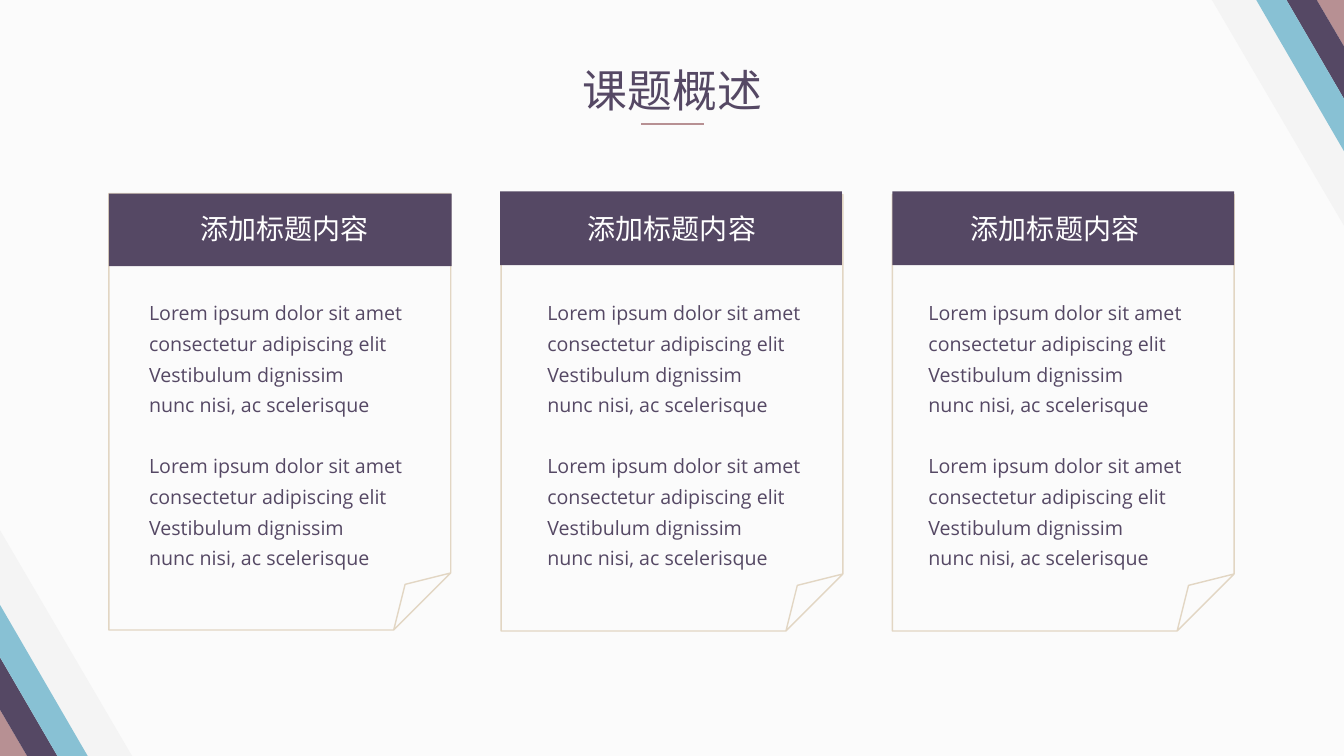
from lxml import etree
from pptx import Presentation
from pptx import util as u
from pptx.dml.color import RGBColor
from pptx.enum import shapes, text
from pptx.oxml import ns

WIDTH, HEIGHT = 13.33, 7.5
COLORS = {
    "paper": "FBFBFB",
    "mist": "F4F4F4",
    "rose": "B79093",
    "plum": "554864",
    "sky": "88C1D4",
    "sand": "E2D6C3",
    "white": "FFFFFF",
}
CHINESE = "Noto Sans CJK SC"
LATIN = "Open Sans"
HEADING = "添加标题内容"
BODY = [
    "Lorem ipsum dolor sit amet consectetur adipiscing elit Vestibulum dignissim",
    "nunc nisi, ac scelerisque",
] * 2
BANDS = [
    ("mist", (0, 0), (1.31, 2.24)),
    ("rose", (0, 0), (0.27, 0.46)),
    ("plum", (0.27, 0.46), (0.57, 0.98)),
    ("sky", (0.57, 0.98), (0.87, 1.5)),
]
CARDS = [
    ((1.08, 1.92, 3.39, 4.33), (1.08, 1.92, 3.4, 0.72),
     (1.47, 2.05, 2.7, 0.44), (1.38, 2.87, 2.85, 3.28)),
    ((4.97, 1.93, 3.39, 4.33), (4.96, 1.9, 3.39, 0.73),
     (5.25, 2.05, 2.83, 0.44), (5.33, 2.87, 2.92, 3.05)),
    ((8.85, 1.93, 3.39, 4.33), (8.85, 1.9, 3.39, 0.73),
     (9.03, 2.05, 2.87, 0.44), (9.11, 2.87, 2.92, 3.05)),
]


def color(name):
    return RGBColor.from_string(COLORS[name])


def inches(values):
    return [u.Inches(value) for value in values]


def fill_only(shape, name):
    shape.shadow.inherit = False
    shape.fill.solid()
    shape.fill.fore_color.rgb = color(name)
    shape.line.fill.background()


def add_band(page, name, inner, outer, top_right):
    points = [(0, inner[1]), (0, outer[1]), (outer[0], 0), (inner[0], 0)]
    if top_right:
        corners = [(WIDTH - x, y) for x, y in points]
    else:
        corners = [(x, HEIGHT - y) for x, y in points]
    corners = [inches(corner) for corner in corners]
    builder = page.shapes.build_freeform(*corners[0])
    builder.add_line_segments(corners[1:], close=True)
    fill_only(builder.convert_to_shape(), name)


def add_note(page, place):
    note = page.shapes.add_shape(shapes.MSO_SHAPE.FOLDED_CORNER, *inches(place))
    note.shadow.inherit = False
    note.fill.background()
    note.line.color.rgb = color("sand")
    note.line.width = u.Pt(1)


def add_header(page, place):
    header = page.shapes.add_shape(shapes.MSO_SHAPE.RECTANGLE, *inches(place))
    fill_only(header, "plum")


def add_text(page, place, lines, size, font, name, align, wrap=True):
    box = page.shapes.add_textbox(*inches(place))
    frame = box.text_frame
    frame.word_wrap = wrap
    frame.text = "\n".join(lines)
    for para in frame.paragraphs:
        para.alignment = align
        for span in para.runs:
            span.font.size = u.Pt(size)
            span.font.color.rgb = color(name)
            span.font.name = font
            etree.SubElement(span.font._element, ns.qn("a:ea"), typeface=font)
    return frame


def add_body(page, place):
    frame = add_text(page, place, BODY, 14, LATIN, "plum", text.PP_ALIGN.LEFT)
    for para in frame.paragraphs:
        para.line_spacing = 1.3
    frame.paragraphs[2].space_before = u.Pt(22)


def add_rule(page, start, end):
    rule = page.shapes.add_connector(
        shapes.MSO_CONNECTOR.STRAIGHT, *inches(start + end))
    rule.line.color.rgb = color("rose")
    rule.line.width = u.Pt(1.5)
    etree.SubElement(rule._element.spPr, ns.qn("a:effectLst"))


def main():
    deck = Presentation()
    deck.slide_width, deck.slide_height = inches((WIDTH, HEIGHT))
    page = deck.slides.add_slide(deck.slide_layouts[6])
    page.background.fill.solid()
    page.background.fill.fore_color.rgb = color("paper")
    for top_right in (False, True):
        for name, inner, outer in BANDS:
            add_band(page, name, inner, outer, top_right)
    center = text.PP_ALIGN.CENTER
    for note, header, heading, body in CARDS:
        add_note(page, note)
        add_header(page, header)
        add_text(page, heading, [HEADING], 20, CHINESE, "white", center)
        add_body(page, body)
    add_text(page, (5.67, 0.57, 2, 0.64), ["课题概述"], 32, CHINESE, "plum",
             center, wrap=False)
    add_rule(page, (6.36, 1.23), (6.98, 1.23))
    deck.save("out.pptx")


if __name__ == "__main__":
    main()
